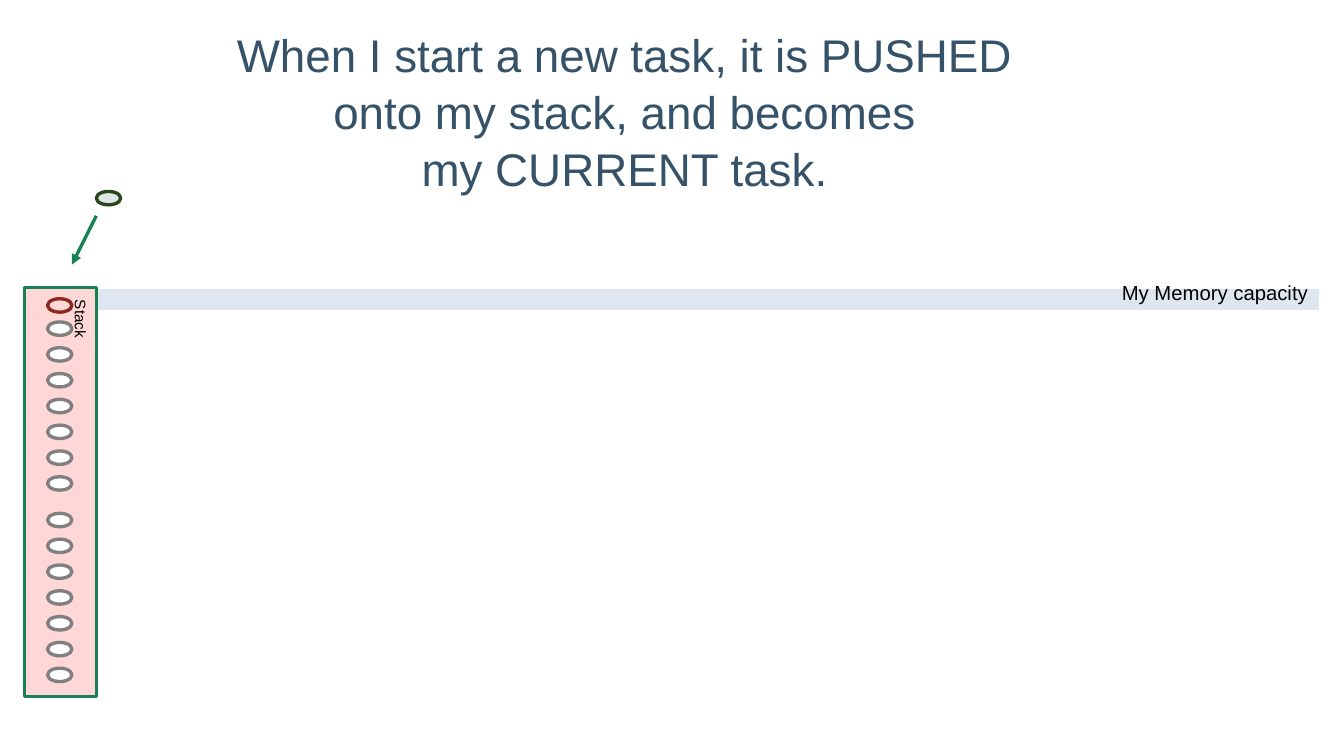
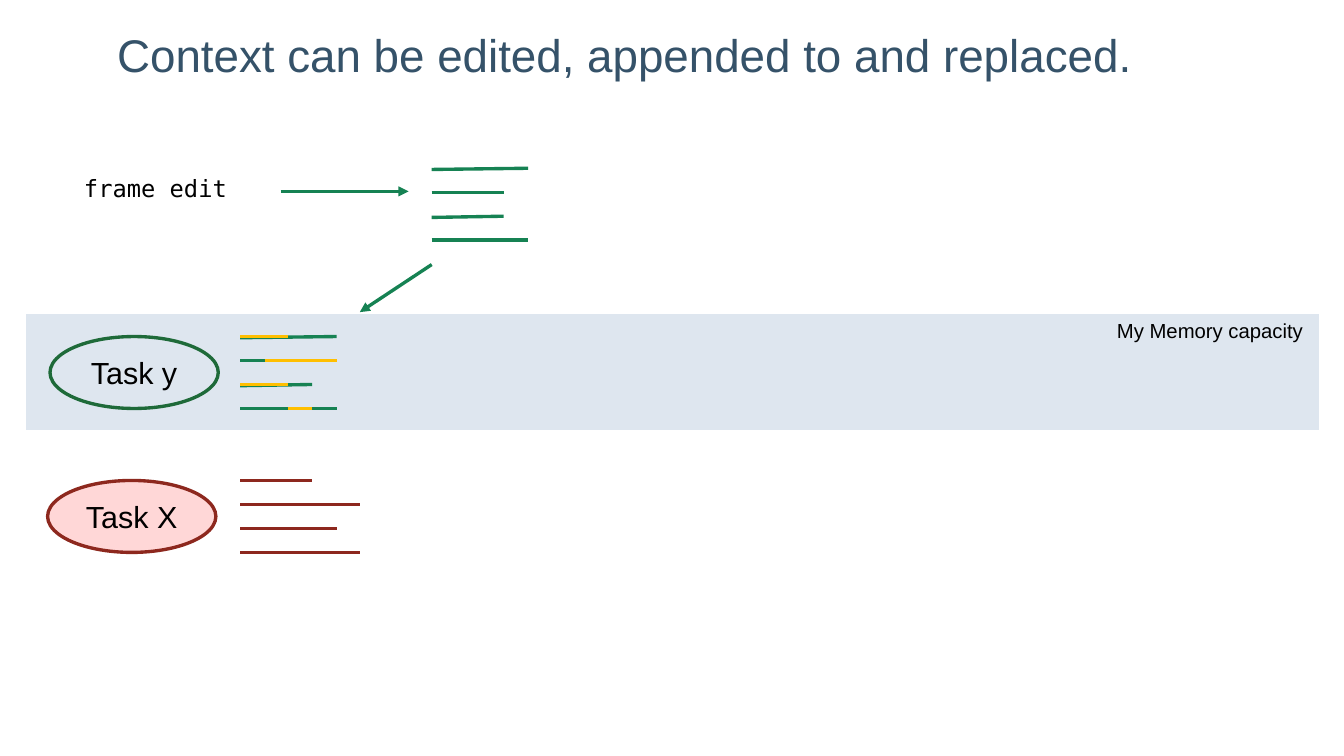
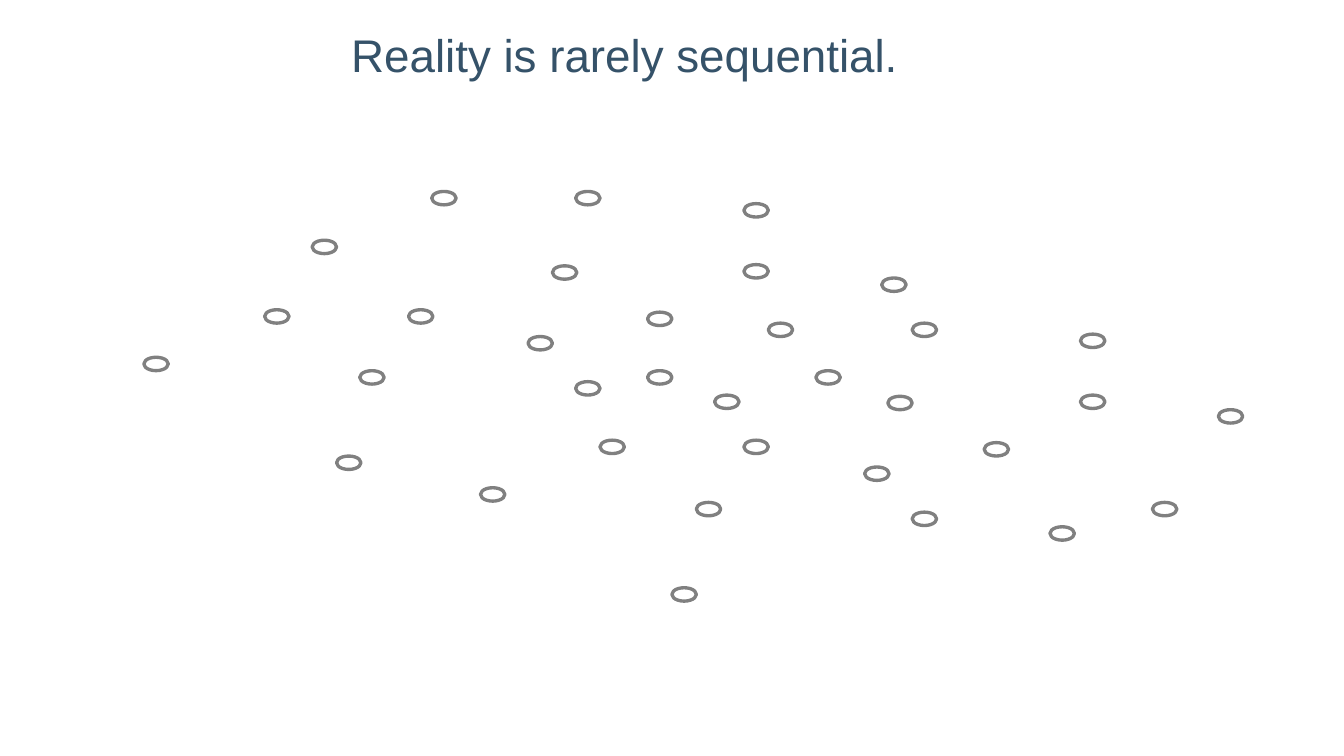
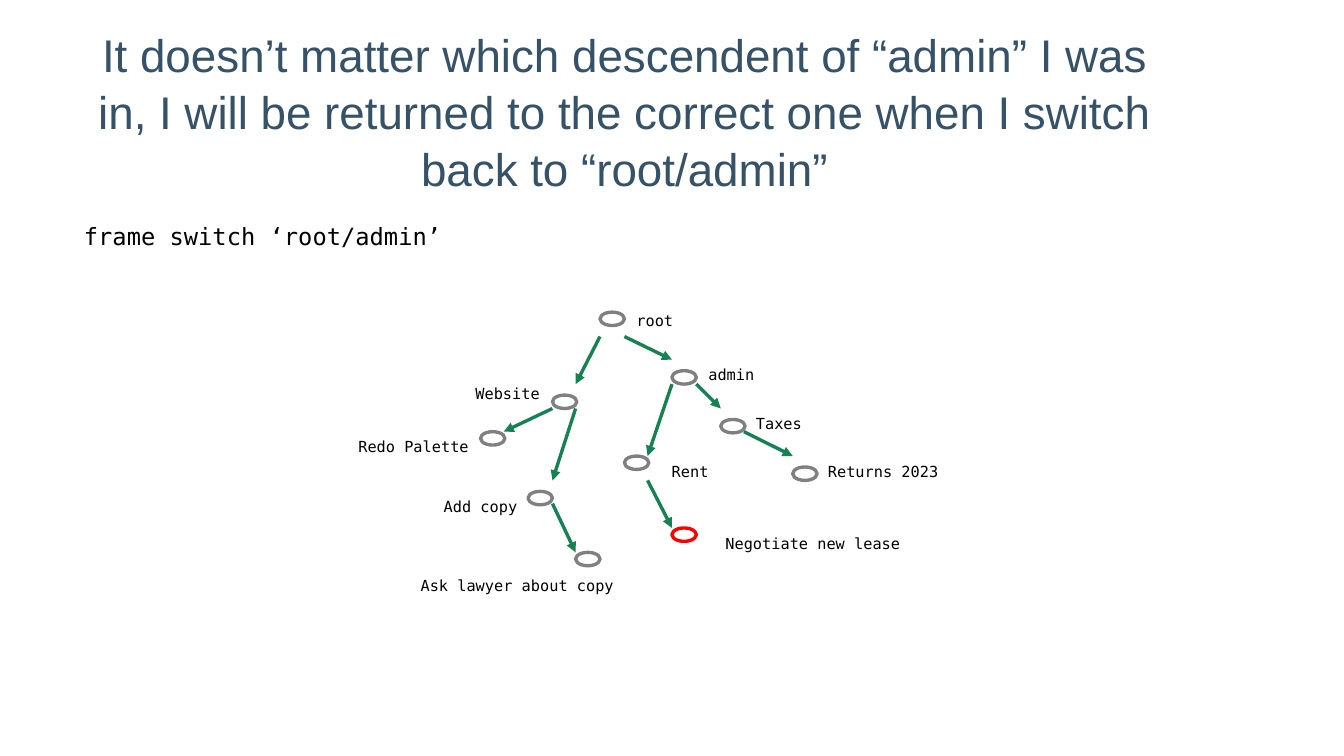
from lxml import etree
from pptx import Presentation
from pptx.dml.color import RGBColor
from pptx.enum.shapes import MSO_CONNECTOR, MSO_SHAPE
from pptx.enum.text import MSO_ANCHOR, MSO_AUTO_SIZE, PP_ALIGN
from pptx.oxml.ns import qn
from pptx.util import Inches, Pt

RECT, ELLIPSE = MSO_SHAPE.RECTANGLE, MSO_SHAPE.OVAL
STRAIGHT = MSO_CONNECTOR.STRAIGHT
LEFT, CENTER, RIGHT = PP_ALIGN.LEFT, PP_ALIGN.CENTER, PP_ALIGN.RIGHT
TOP, MIDDLE = MSO_ANCHOR.TOP, MSO_ANCHOR.MIDDLE
FIT = MSO_AUTO_SIZE.SHAPE_TO_FIT_TEXT

ARIAL, MONO = "Arial", "DejaVu Sans Mono"
CHAR_WIDTH = {ARIAL: 0.0071, MONO: 0.0084}
WHITE, BLACK, GRAY, NAVY = "FFFFFF", "000000", "808080", "355269"
GREEN, YELLOW, RED, PINK, BLUE = "168253", "FFBF00", "8D281E", "FFD7D7", "DEE6EF"
ROW_STEP = 0.59 / 3
STACK_STEP = 1.27 / 6

SCATTER = [
    (4.53, 2.18), (2.56, 1.97), (2.95, 3.04), (5.31, 2.56), (4.72, 1.57),
    (6.69, 3.04), (6.1, 2.17), (7.23, 2.28), (6.1, 1.67), (3.54, 1.57),
    (2.76, 3.74), (1.18, 2.93), (3.35, 2.54), (4.72, 3.13), (5.86, 3.24),
    (4.33, 2.76), (2.17, 2.54), (7.28, 3.25), (5.31, 3.04), (5.71, 4.12),
    (8.07, 3.63), (7.48, 2.65), (9.45, 4.12), (8.86, 3.24), (9.99, 3.36),
    (8.86, 2.74), (6.3, 2.65), (5.51, 4.82), (3.94, 4), (6.1, 3.61),
    (7.48, 4.2), (8.61, 4.32), (7.09, 3.83), (4.92, 3.61),
]
NODES = [
    ("root", 4.92, 2.56, 5.12, 2.5),
    ("admin", 5.51, 3.04, 5.71, 2.95),
    ("Website", 4.53, 3.24, 3.8, 3.1),
    ("Taxes", 5.91, 3.44, 6.1, 3.35),
    ("Add copy", 4.33, 4.03, 3.54, 4.03),
    ("Ask lawyer about copy", 4.72, 4.53, 3.35, 4.68),
    ("Redo Palette", 3.94, 3.54, 2.84, 3.54),
    ("Returns 2023", 6.5, 3.83, 6.69, 3.74),
    ("Rent", 5.12, 3.74, 5.41, 3.74),
    ("Negotiate new lease", 5.51, 4.33, 5.85, 4.33),
]
BRANCHES = [
    (4.92, 2.76, 4.72, 3.15), (5.12, 2.76, 5.51, 2.95), (5.71, 3.15, 5.91, 3.35),
    (6.1, 3.54, 6.5, 3.74), (5.51, 3.15, 5.31, 3.74), (5.31, 3.94, 5.51, 4.33),
    (4.53, 3.35, 4.13, 3.54), (4.72, 3.35, 4.53, 3.94), (4.53, 4.13, 4.72, 4.53),
]


def rgb(value):
    return RGBColor.from_string(value)


class Deck:
    """Holds the shared style and the slide being drawn."""

    def __init__(self):
        self.prs = Presentation()
        self.prs.slide_width, self.prs.slide_height = Inches(11.02), Inches(6.2)
        self.s = None

    def slide(self, title):
        self.s = self.prs.slides.add_slide(self.prs.slide_layouts[6])
        sp = self.s.shapes.add_textbox(*map(Inches, (0.59, 0.2, 9.06, 1.38)))
        self.put_text(sp.text_frame, title, 27, color=NAVY, align=CENTER, wrap=True, ins=(0, 0))
        sp.text_frame.paragraphs[0].line_spacing = 1.04

    def put_text(self, tf, text, size, font=ARIAL, color=BLACK, align=LEFT,
                 anchor=TOP, wrap=False, ins=(0.1, 0.05)):
        x, y = map(Inches, ins)
        frame = dict(word_wrap=wrap, vertical_anchor=anchor, margin_left=x,
                     margin_right=x, margin_top=y, margin_bottom=y)
        for name, value in frame.items():
            setattr(tf, name, value)
        p = tf.paragraphs[0]
        p.text, p.alignment = text, align
        for r in p.runs:
            r.font.name, r.font.size = font, Pt(size)
            r.font.color.rgb = rgb(color)

    def label(self, x, y, text, size, font=MONO):
        w = 0.2 + len(text) * size * CHAR_WIDTH[font]
        h = 0.25 if size < 12 else 0.29
        sp = self.s.shapes.add_textbox(*map(Inches, (x, y, w, h)))
        self.put_text(sp.text_frame, text, size, font)
        sp.text_frame.auto_size = FIT

    def shape(self, kind, x, y, w, h, fill, line):
        sp = self.s.shapes.add_shape(kind, *map(Inches, (x, y, w, h)))
        sp.shadow.inherit = False
        sp.fill.solid()
        sp.fill.fore_color.rgb = rgb(fill)
        sp.line.color.rgb = rgb(line)
        sp.line.width = Pt(1.98)
        return sp

    def dot(self, x, y, fill=WHITE, line=GRAY):
        self.shape(ELLIPSE, x, y, 0.2, 0.11, fill, line)

    def task(self, x, y, text, fill, line):
        sp = self.shape(ELLIPSE, x, y, 1.38, 0.59, fill, line)
        self.put_text(sp.text_frame, text, 18, align=CENTER, anchor=MIDDLE)

    def memory(self, y, h, label_x, label_y):
        self.shape(RECT, 0.2, y, 10.63, h, BLUE, WHITE)
        self.label(label_x, label_y, "My Memory capacity", 12, ARIAL)

    def line(self, x1, y1, x2, y2, color=GREEN, arrow=False):
        c = self.s.shapes.add_connector(STRAIGHT, *map(Inches, (x1, y1, x2, y2)))
        c.line.color.rgb = rgb(color)
        c.line.width = Pt(1.98)
        sppr = c.element.spPr
        if arrow:
            etree.SubElement(sppr.find(qn("a:ln")), qn("a:tailEnd"), type="triangle")
        etree.SubElement(sppr, qn("a:effectLst"))

    def context(self, x, y, spans, color, slants=(0, 0, 0, 0)):
        for i, ((start, end), slant) in enumerate(zip(spans, slants)):
            row = y + i * ROW_STEP
            self.line(x + start, row + slant, x + end, row, color)


def push_slide(d):
    d.slide("When I start a new task, it is PUSHED\vonto my stack, and becomes\vmy CURRENT task.")
    d.memory(2.36, 0.2, 9.1, 2.25)
    d.dot(0.79, 1.57, "DEE7E5", "28471F")
    d.line(0.79, 1.77, 0.59, 2.17, arrow=True)
    stack = d.shape(RECT, 0.2, 2.36, 0.59, 3.35, PINK, GREEN)
    d.put_text(stack.text_frame, "Stack", 9, align=RIGHT, ins=(0.05, 0.1))
    stack.element.txBody.bodyPr.set("vert", "eaVert")
    d.dot(0.39, 2.45, PINK, RED)
    for top in (2.64, 4.21):
        for i in range(7):
            d.dot(0.39, top + i * STACK_STEP)


def context_slide(d):
    d.slide("Context can be edited, appended to and replaced.")
    d.memory(2.56, 0.98, 9.06, 2.56)
    d.context(1.97, 3.94, [(0, 0.59), (0, 0.98), (0, 0.79), (0, 0.98)], RED)
    d.task(0.39, 3.94, "Task X", PINK, RED)
    d.task(0.41, 2.76, "Task y", BLUE, "1E6A39")
    d.label(0.59, 1.38, "frame edit", 14)
    for x, y in ((1.97, 2.76), (3.54, 1.38)):
        d.context(x, y, [(0, 0.79), (0, 0.59), (0, 0.59), (0, 0.79)], GREEN, (0.01, 0, 0.01, 0))
    d.line(2.3, 1.57, 3.35, 1.57, arrow=True)
    d.line(3.54, 2.17, 2.95, 2.56, arrow=True)
    d.context(1.97, 2.76, [(0, 0.39), (0.2, 0.79), (0, 0.39), (0.39, 0.59)], YELLOW)


def reality_slide(d):
    d.slide("Reality is rarely sequential.")
    for x, y in SCATTER:
        d.dot(x, y)


def tree_slide(d):
    d.slide("It doesn’t matter which descendent of “admin” I was in, I will be "
            "returned to the correct one when I switch back to “root/admin”")
    for text, x, y, label_x, label_y in NODES:
        d.dot(x, y, line="FF0000" if text == "Negotiate new lease" else GRAY)
        d.label(label_x, label_y, text, 9)
    for branch in BRANCHES:
        d.line(*branch, arrow=True)
    d.label(0.59, 1.77, "frame switch ‘root/admin’", 14)


def main():
    d = Deck()
    for build in (push_slide, context_slide, reality_slide, tree_slide):
        build(d)
    d.prs.save("out.pptx")


if __name__ == "__main__":
    main()
